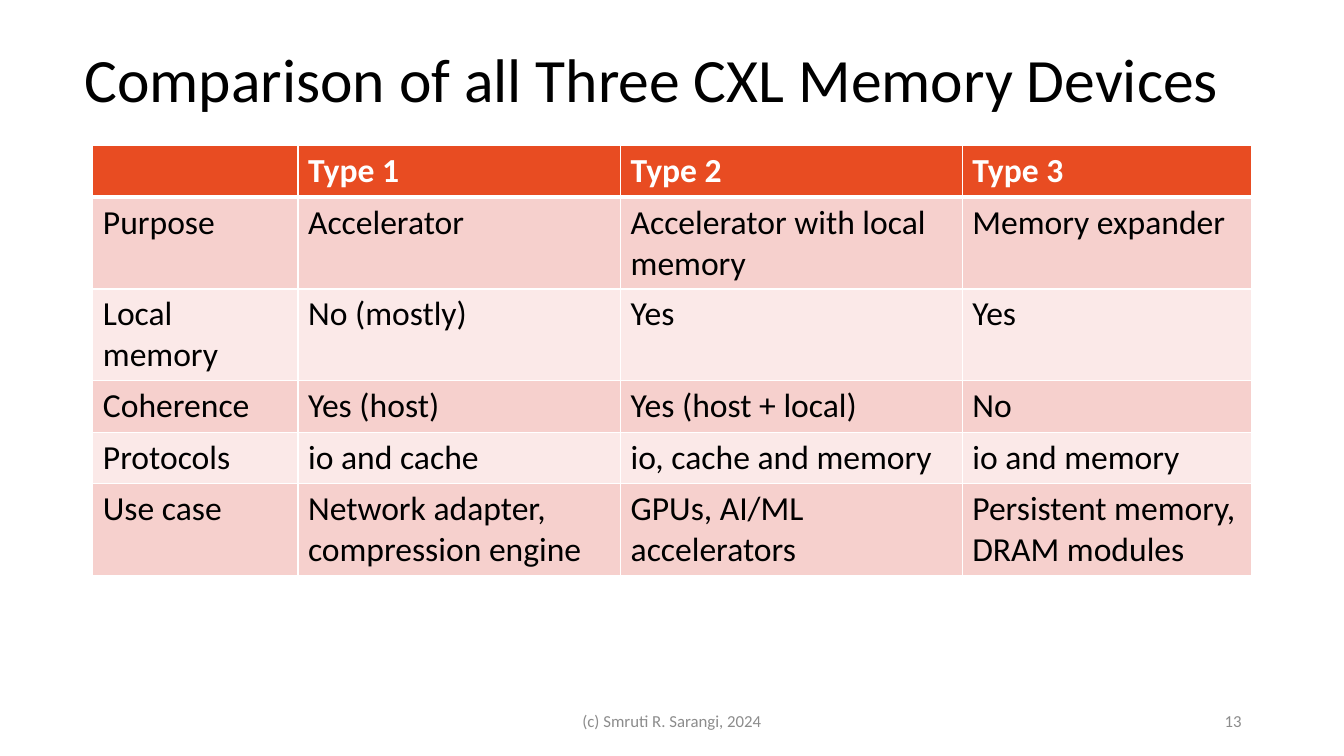
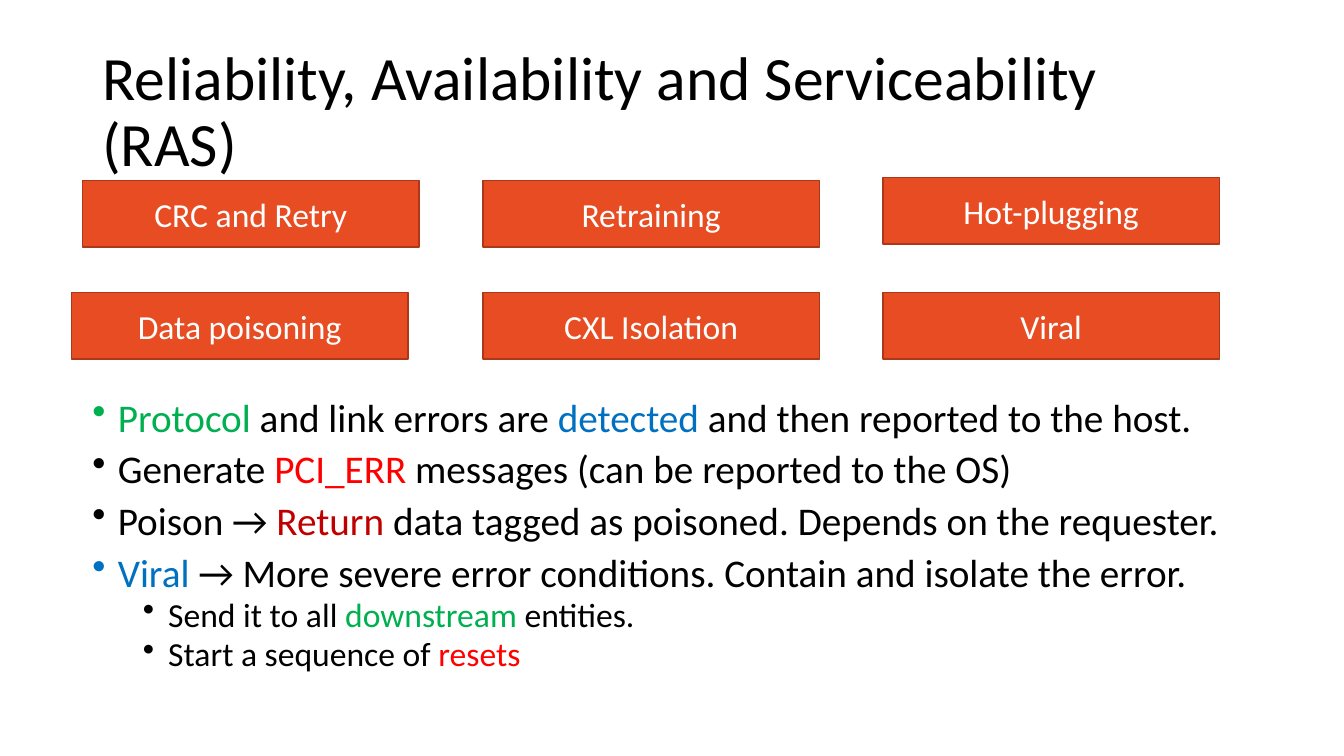
from lxml import etree
from pptx import Presentation
from pptx.dml.color import RGBColor
from pptx.enum import shapes, text
from pptx.oxml import ns
from pptx.util import Cm, Pt

FONT = "Calibri"
BLACK = RGBColor(0x00, 0x00, 0x00)
WHITE = RGBColor(0xFF, 0xFF, 0xFF)
GRAY = RGBColor(0x8C, 0x8C, 0x8C)
ORANGE = RGBColor(0xE8, 0x4C, 0x22)
DARK_ORANGE = RGBColor(0xAC, 0x38, 0x19)
PINK = RGBColor(0xF6, 0xD0, 0xCD)
PALE_PINK = RGBColor(0xFB, 0xE9, 0xE8)
GREEN = RGBColor(0x00, 0xB0, 0x50)
BLUE = RGBColor(0x00, 0x70, 0xC0)
RED = RGBColor(0xFF, 0x00, 0x00)
DARK_RED = RGBColor(0xC0, 0x00, 0x00)

LEFT, CENTER, RIGHT = text.PP_ALIGN.LEFT, text.PP_ALIGN.CENTER, text.PP_ALIGN.RIGHT
TOP, MIDDLE = text.MSO_ANCHOR.TOP, text.MSO_ANCHOR.MIDDLE

COLUMN_WIDTHS = (5.17, 8.13, 8.61, 7.3)
ONE_LINE, TWO_LINES = 1.3, 2.31
DEVICE_ROWS = (
    (ONE_LINE, ("", "Type 1", "Type 2", "Type 3")),
    (TWO_LINES, ("Purpose", "Accelerator", "Accelerator with local memory", "Memory expander")),
    (TWO_LINES, ("Local memory", "No (mostly)", "Yes", "Yes")),
    (ONE_LINE, ("Coherence", "Yes (host)", "Yes (host + local)", "No")),
    (ONE_LINE, ("Protocols", "io and cache", "io, cache and memory", "io and memory")),
    (TWO_LINES, ("Use case", "Network adapter, compression engine",
                 "GPUs, AI/ML accelerators", "Persistent memory, DRAM modules")),
)

FEATURES = (
    ("CRC and Retry", 2.08, 4.55),
    ("Retraining", 12.17, 4.55),
    ("Hot-plugging", 22.25, 4.47),
    ("Data poisoning", 1.8, 7.37),
    ("CXL Isolation", 12.17, 7.37),
    ("Viral", 22.25, 7.37),
)

ERROR_POINTS = (
    (0, (("Protocol", GREEN), (" and link errors are ", BLACK), ("detected", BLUE),
         (" and then reported to the host.", BLACK))),
    (0, (("Generate ", BLACK), ("PCI_ERR ", RED),
         ("messages (can be reported to the OS)", BLACK))),
    (0, (("Poison → ", BLACK), ("Return", DARK_RED),
         (" data tagged as poisoned. Depends on the requester.", BLACK))),
    (0, (("Viral", BLUE),
         (" → More severe error conditions. Contain and isolate the error.", BLACK))),
    (1, (("Send it to all ", BLACK), ("downstream", GREEN), (" entities.", BLACK))),
    (1, (("Start a sequence of ", BLACK), ("resets", RED))),
)


def write(paragraph, content, size=24, color=BLACK, bold=False, align=LEFT,
          line_spacing=1.0, space_before=0):
    paragraph.alignment = align
    paragraph.line_spacing = line_spacing
    paragraph.space_before = Pt(space_before)
    runs = ((content, color),) if isinstance(content, str) else content
    for words, run_color in runs:
        run = paragraph.add_run()
        run.text = words
        run.font.name = FONT
        run.font.size = Pt(size)
        run.font.bold = bold
        run.font.color.rgb = run_color


def add_text_frame(slide, left, top, width, height, anchor=MIDDLE):
    box = slide.shapes.add_textbox(Cm(left), Cm(top), Cm(width), Cm(height))
    frame = box.text_frame
    frame.word_wrap = True
    frame.vertical_anchor = anchor
    return frame


def add_title(slide, words, left, top):
    frame = add_text_frame(slide, left, top, 29.21, 3.68)
    write(frame.paragraphs[0], words, size=44, line_spacing=0.9)


def add_footer(slide, words, left, width, align):
    frame = add_text_frame(slide, left, 17.65, width, 1.01)
    write(frame.paragraphs[0], words, size=12, color=GRAY, align=align)


def add_button(slide, words, left, top):
    button = slide.shapes.add_shape(
        shapes.MSO_SHAPE.RECTANGLE, Cm(left), Cm(top), Cm(8.48), Cm(1.68))
    button.shadow.inherit = False
    button.fill.solid()
    button.fill.fore_color.rgb = ORANGE
    button.line.color.rgb = DARK_ORANGE
    button.line.width = Pt(1)
    button.text_frame.vertical_anchor = MIDDLE
    write(button.text_frame.paragraphs[0], words, color=WHITE, align=CENTER)


def set_borders(cell, **widths):
    properties = cell._tc.get_or_add_tcPr()
    for side in "LRTB":
        line = etree.SubElement(properties, ns.qn(f"a:ln{side}"),
                                w=str(Pt(widths.get(side, 1))))
        fill = etree.SubElement(line, ns.qn("a:solidFill"))
        etree.SubElement(fill, ns.qn("a:srgbClr"), val=str(WHITE))


def fill_cell(cell, words, row_index):
    header = row_index == 0
    if header:
        set_borders(cell, B=3)
    elif row_index == 1:
        set_borders(cell, T=3)
    else:
        set_borders(cell)
    cell.fill.solid()
    cell.fill.fore_color.rgb = ORANGE if header else (PALE_PINK, PINK)[row_index % 2]
    if words:
        write(cell.text_frame.paragraphs[0], words,
              color=WHITE if header else BLACK, bold=header)


def add_device_table(slide, left, top):
    heights = [height for height, _ in DEVICE_ROWS]
    table = slide.shapes.add_table(
        len(heights), len(COLUMN_WIDTHS), Cm(left), Cm(top),
        Cm(sum(COLUMN_WIDTHS)), Cm(sum(heights))).table
    for column, width in zip(table.columns, COLUMN_WIDTHS):
        column.width = Cm(width)
    for row_index, (height, entries) in enumerate(DEVICE_ROWS):
        table.rows[row_index].height = Cm(height)
        for column_index, words in enumerate(entries):
            fill_cell(table.cell(row_index, column_index), words, row_index)


def add_bullet(paragraph, level):
    paragraph.level = level
    properties = paragraph._p.get_or_add_pPr()
    properties.set("marL", str(Cm(0.64 + 1.27 * level)))
    properties.set("indent", str(-Cm(0.64)))
    etree.SubElement(properties, ns.qn("a:buChar"), char="•")


def add_bullet_list(slide, points, left, top, width, height):
    frame = add_text_frame(slide, left, top, width, height, anchor=TOP)
    for index, (level, runs) in enumerate(points):
        paragraph = frame.add_paragraph() if index else frame.paragraphs[0]
        add_bullet(paragraph, level)
        write(paragraph, runs, size=(28, 24)[level], line_spacing=0.8,
              space_before=(10, 5)[level] if index else 0)


def add_comparison_slide(presentation):
    slide = presentation.slides.add_slide(presentation.slide_layouts[6])
    add_title(slide, "Comparison of all Three CXL Memory Devices", 1.88, 0.23)
    add_device_table(slide, 2.34, 3.67)
    add_footer(slide, "(c) Smruti R. Sarangi, 2024", 11.22, 11.43, CENTER)
    add_footer(slide, "13", 23.92, 7.62, RIGHT)


def add_reliability_slide(presentation):
    slide = presentation.slides.add_slide(presentation.slide_layouts[6])
    add_title(slide, "Reliability, Availability and Serviceability (RAS)", 2.33, 1.02)
    add_bullet_list(slide, ERROR_POINTS, 2.08, 10.01, 29.21, 7.39)
    for words, left, top in FEATURES:
        add_button(slide, words, left, top)


def main():
    presentation = Presentation()
    presentation.slide_width = Cm(33.87)
    presentation.slide_height = Cm(19.05)
    add_comparison_slide(presentation)
    add_reliability_slide(presentation)
    presentation.save("out.pptx")


if __name__ == "__main__":
    main()
